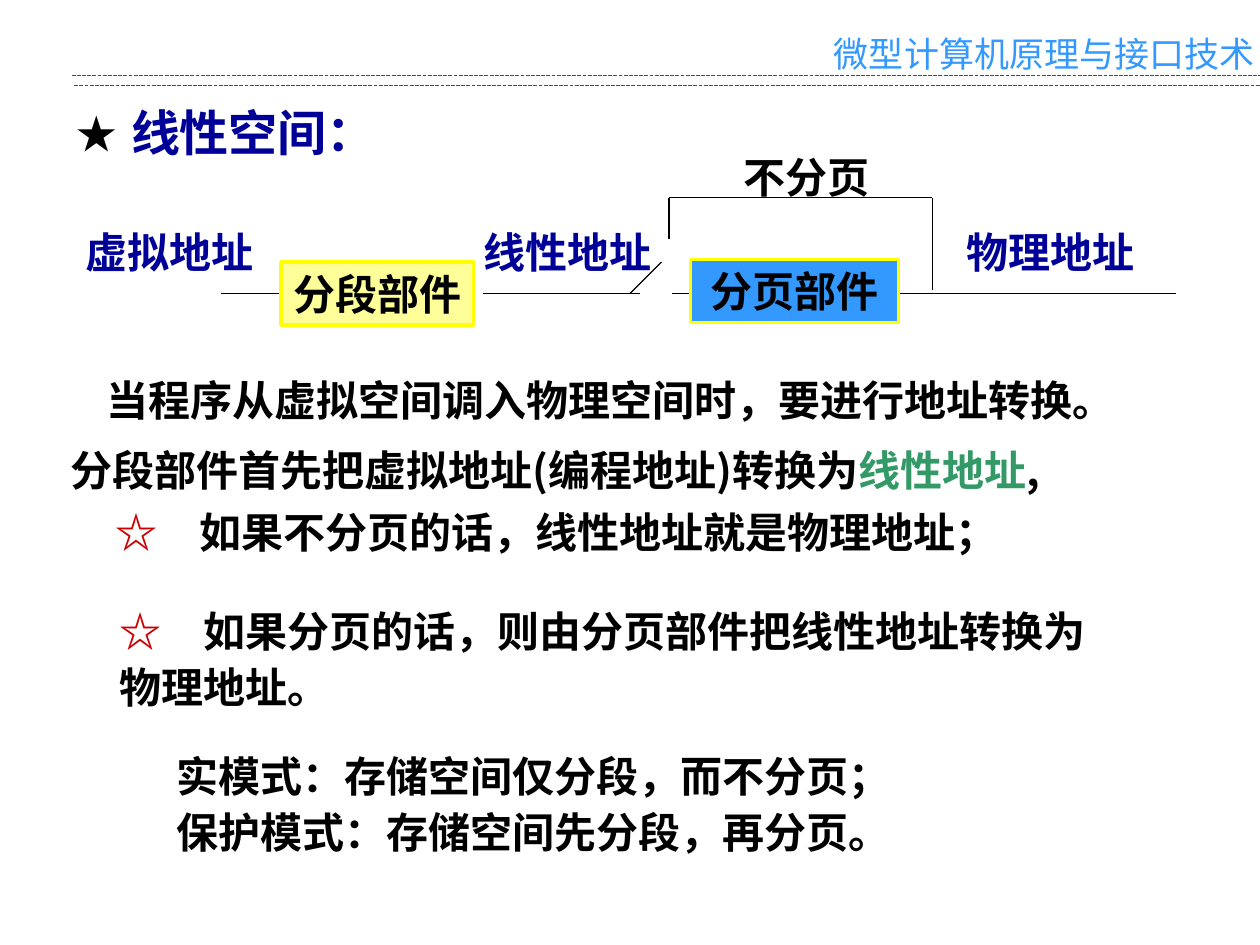
"""Build the slide on linear address space."""
import pptx
import pptx.dml.color
import pptx.enum.dml
import pptx.enum.shapes
import pptx.enum.text
import pptx.oxml
import pptx.oxml.ns
import pptx.util

RGBColor = pptx.dml.color.RGBColor
Inches = pptx.util.Inches
Align = pptx.enum.text.PP_ALIGN
AutoSize = pptx.enum.text.MSO_AUTO_SIZE

BLACK = RGBColor(0, 0, 0)
NAVY = RGBColor(0, 0, 0x99)
SKY = RGBColor(0x33, 0x99, 0xFF)
GREEN = RGBColor(0, 0x80, 0)
SEA = RGBColor(0x33, 0x99, 0x66)
RED = RGBColor(0xCC, 0, 0)
YELLOW = RGBColor(0xFF, 0xFF, 0)
CREAM = RGBColor(0xFF, 0xFF, 0x99)

FONT = "Noto Sans CJK SC"
SIZE = 24
PARAGRAPH_GAP = 6
LABEL_TOP, LINE_HEIGHT = 1.75, 0.5
FLOW, BRANCH = 2.33, 1.57
BRANCH_LEFT, BRANCH_RIGHT = 5.31, 7.4

HEADER = "微型计算机原理与接口技术"
TITLE = "线性空间："
MODES = [
    [("实模式：存储空间仅分段，而不分页；", BLACK)],
    [("保护模式：存储空间先分段，再分页。", BLACK)],
]
LABELS = [
    ("虚拟地址", 0.58, 1.74),
    ("线性地址", 3.74, 1.65),
    ("物理地址", 7.57, 1.77),
]
UNITS = [
    ("分段部件", (2.23, 2.08, 1.53, LINE_HEIGHT), CREAM),
    ("分页部件", (5.48, 2.06, 1.65, LINE_HEIGHT), SKY),
]
TEXTS = [
    ((5.8, 1.15, 1.2, LINE_HEIGHT), False, 1, [[("不分页", BLACK)]]),
    ((0.75, 2.92, 9.05, LINE_HEIGHT), True, 1,
     [[("当程序从虚拟空间调入物理空间时，要进行地址转换。", BLACK)]]),
    ((0.46, 3.48, 8.5, LINE_HEIGHT), True, 1,
     [[("分段部件首先把虚拟地址(编程地址)转换为", BLACK), ("线性地址", SEA), (",", BLACK)]]),
    ((0.82, 3.97, 8.35, LINE_HEIGHT), True, 1,
     [[("☆", RED), ("\u3000如果不分页的话，线性地址就是物理地址；", BLACK)]]),
    ((0.85, 4.8, 8.1, 0.91), True, 0.9,
     [[("☆", RED), ("\u3000如果分页的话，则由分页部件把线性地址转换为", BLACK)],
      [("物理地址。", BLACK)]]),
]
HEADER_RULES = [(0.57, 0.6, 10, 0.6), (0.59, 0.68, 10, 0.68)]
FLOW_LINES = [
    (1.75, FLOW, 2.25, FLOW),
    (3.83, FLOW, 5.08, FLOW),
    (5, FLOW, 5.25, 2.08),
    (5.33, FLOW, 5.51, FLOW),
    (7.08, FLOW, 9.33, FLOW),
    (BRANCH_LEFT, 1.9, BRANCH_LEFT, BRANCH),
    (BRANCH_LEFT, BRANCH, BRANCH_RIGHT, BRANCH),
    (BRANCH_RIGHT, BRANCH, BRANCH_RIGHT, 2.3),
]


def place(shape, box):
    shape.left, shape.top, shape.width, shape.height = map(Inches, box)


def add_element(parent, tag, **attributes):
    element = pptx.oxml.parse_xml(f"<a:{tag} {pptx.oxml.ns.nsdecls('a')}/>")
    for name, value in attributes.items():
        element.set(name, value)
    parent.append(element)
    return element


def set_bullet(paragraph, character=None, indent=0):
    properties = paragraph._p.get_or_add_pPr()
    properties.set("marL", str(Inches(indent)))
    properties.set("indent", str(-Inches(indent)))
    if character:
        add_element(add_element(properties, "buClr"), "srgbClr", val=str(BLACK))
        add_element(properties, "buSzPct", val="83000")
        add_element(properties, "buFont", typeface=FONT)
        add_element(properties, "buChar", char=character)
    else:
        add_element(properties, "buNone")


def write(frame, paragraphs, size=SIZE, bold=True, align=Align.LEFT, spacing=1,
          wrap=True, auto_size=AutoSize.SHAPE_TO_FIT_TEXT):
    frame.word_wrap = wrap
    frame.auto_size = auto_size
    for index, runs in enumerate(paragraphs):
        paragraph = frame.add_paragraph() if index else frame.paragraphs[0]
        paragraph.alignment = align
        paragraph.line_spacing = spacing
        paragraph.space_before = pptx.util.Pt(PARAGRAPH_GAP if index else 0)
        for text, color in runs:
            run = paragraph.add_run()
            run.text = text
            run.font.size = pptx.util.Pt(size)
            run.font.bold = bold
            run.font.color.rgb = color
            run.font.name = FONT
            add_element(run._r.get_or_add_rPr(), "ea", typeface=FONT)


def add_text(slide, box, paragraphs, **style):
    shape = slide.shapes.add_textbox(*map(Inches, box))
    write(shape.text_frame, paragraphs, **style)
    return shape


def add_line(slide, ends, color, dash=None):
    line = slide.shapes.add_connector(
        pptx.enum.shapes.MSO_CONNECTOR.STRAIGHT, *map(Inches, ends))
    line.line.color.rgb = color
    line.line.width = pptx.util.Pt(0.75)
    if dash:
        line.line.dash_style = dash
    add_element(line._element.spPr, "effectLst")


def add_unit(slide, text, box, fill):
    shape = slide.shapes.add_shape(
        pptx.enum.shapes.MSO_SHAPE.RECTANGLE, *map(Inches, box))
    shape.shadow.inherit = False
    shape.fill.solid()
    shape.fill.fore_color.rgb = fill
    shape.line.color.rgb = YELLOW
    shape.line.width = pptx.util.Pt(2)
    shape.text_frame.vertical_anchor = pptx.enum.text.MSO_ANCHOR.MIDDLE
    write(shape.text_frame, [[(text, BLACK)]], align=Align.CENTER)


def main():
    presentation = pptx.Presentation()
    presentation.slide_width, presentation.slide_height = Inches(10), Inches(7.5)
    slide = presentation.slides.add_slide(presentation.slide_layouts[1])

    title, body = slide.shapes.title, slide.placeholders[1]
    place(title, (0.51, 0.76, 2.58, 0.57))
    set_bullet(title.text_frame.paragraphs[0], "★", 0.43)
    title.text_frame.vertical_anchor = pptx.enum.text.MSO_ANCHOR.MIDDLE
    write(title.text_frame, [[(TITLE, NAVY)]], size=28, auto_size=AutoSize.NONE)

    place(body, (1.3, 5.95, 6.83, 1))
    write(body.text_frame, MODES, spacing=0.9, auto_size=AutoSize.NONE)
    for paragraph in body.text_frame.paragraphs:
        set_bullet(paragraph)

    for ends in HEADER_RULES:
        add_line(slide, ends, GREEN, pptx.enum.dml.MSO_LINE.SQUARE_DOT)
    header = add_text(slide, (6.52, 0.21, 3.48, 0.4), [[(HEADER, SKY)]],
                      size=20, bold=False, auto_size=AutoSize.NONE)
    header.text_frame.margin_right = 0
    for ends in FLOW_LINES:
        add_line(slide, ends, BLACK)
    for text, box, fill in UNITS:
        add_unit(slide, text, box, fill)
    for text, left, width in LABELS:
        add_text(slide, (left, LABEL_TOP, width, LINE_HEIGHT), [[(text, NAVY)]])
    for box, wrap, spacing, paragraphs in TEXTS:
        add_text(slide, box, paragraphs, wrap=wrap, spacing=spacing)
    presentation.save("out.pptx")


if __name__ == "__main__":
    main()
